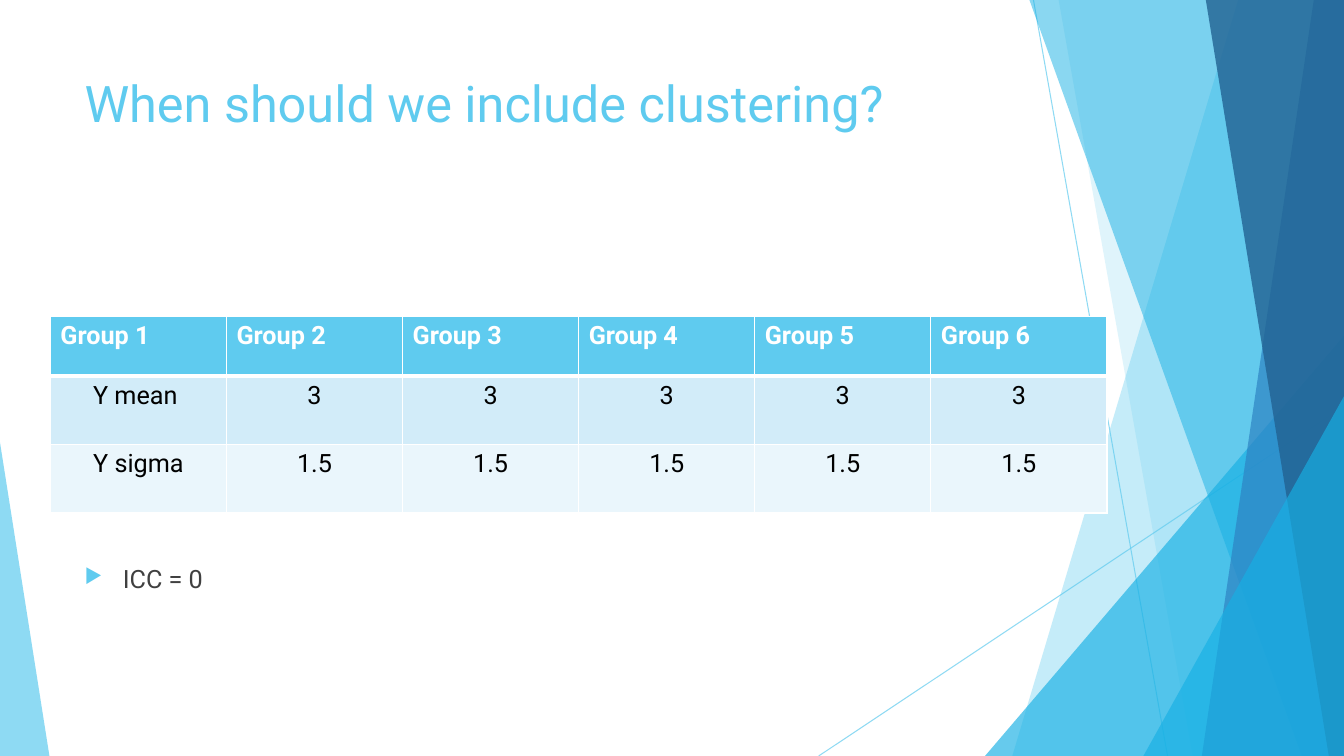
from lxml import etree
from pptx import Presentation
from pptx import util as u
from pptx.dml.color import RGBColor
from pptx.enum import shapes, text
from pptx.oxml.ns import qn

COLORS = {
    "sky": "5FCBEF", "cyan": "17B0E4", "blue": "2E83C3", "navy": "226292",
    "white": "FFFFFF", "black": "000000", "body": "404040",
    "band_dark": "D2ECF9", "band_light": "EAF6FC",
}
FONT = "Roboto"
SLIDE_W, SLIDE_H = 13.33, 7.5


def add_color(parent, color):
    """Append an sRGB colour element to an XML parent."""
    return etree.SubElement(parent, qn("a:srgbClr"), val=COLORS[color])


def set_alpha(fill_parent, opacity):
    """Make the solid fill below an XML element partly transparent."""
    color = fill_parent.find(qn("a:solidFill")).find(qn("a:srgbClr"))
    etree.SubElement(color, qn("a:alpha"), val=str(opacity * 1000))


def paint(facet, color, opacity):
    """Give a facet a flat translucent fill without outline or shadow."""
    facet.shadow.inherit = False
    facet.fill.solid()
    facet.fill.fore_color.rgb = RGBColor.from_string(COLORS[color])
    facet.line.fill.background()
    set_alpha(facet._element.spPr, opacity)


def style(paragraph, size, color, bold=False):
    """Format every run of a paragraph."""
    for run in paragraph.runs:
        run.font.name = FONT
        run.font.size = u.Pt(size)
        run.font.bold = bold
        run.font.color.rgb = RGBColor.from_string(COLORS[color])


def add_ray(slide, start, end):
    """Draw one thin translucent decorative line."""
    ray = slide.shapes.add_connector(
        shapes.MSO_CONNECTOR.STRAIGHT, *map(u.Inches, start + end))
    ray.line.width = u.Pt(0.75)
    ray.line.color.rgb = RGBColor.from_string(COLORS["sky"])
    set_alpha(ray.line._ln, 70)
    etree.SubElement(ray._element.spPr, qn("a:effectLst"))


def add_wedge(slide, box, top_x, bottom_x, color, opacity):
    """Fill the area between a slanted edge and the right side of the box."""
    left, top, width, height = box
    right, bottom = left + width, top + height
    corners = [(right, top), (right, bottom), (left + bottom_x, bottom)]
    outline = slide.shapes.build_freeform(u.Inches(left + top_x), u.Inches(top))
    outline.add_line_segments([tuple(map(u.Inches, c)) for c in corners])
    paint(outline.convert_to_shape(), color, opacity)


def add_corner(slide, box, apex, color, opacity):
    """Add a right triangle whose apex lies at one end of the top side."""
    corner = slide.shapes.add_shape(
        shapes.MSO_SHAPE.ISOSCELES_TRIANGLE, *map(u.Inches, box))
    corner.adjustments[0] = apex
    paint(corner, color, opacity)


def add_backdrop(slide, box):
    """Build the translucent facets along the left and right of the box."""
    left, top, width, height = box
    right, bottom = left + width, top + height

    def right_corner(w, h):
        add_corner(slide, (right - w, bottom - h, w, h), 1, "cyan", 66)

    add_ray(slide, (left + 10.25, top), (left + 11.58, bottom))
    add_ray(slide, (right, top + 4.03), (left + 8.12, bottom))
    add_wedge(slide, box, 12.28, 10.04, "sky", 36)
    add_wedge(slide, box, 10.5, 11.83, "sky", 20)
    right_corner(3.56, 4.17)
    add_wedge(slide, box, 10.21, 12.91, "cyan", 50)
    add_wedge(slide, box, 13.03, 11.92, "blue", 70)
    add_wedge(slide, box, 11.96, 13.18, "navy", 80)
    right_corner(1.99, 3.57)
    add_corner(slide, (left, bottom - 3.11, 0.49, 3.11), 0, "sky", 70)


def add_text(slide, box, words, size, color):
    """Place one wrapped paragraph at the top of the box and return it."""
    frame = slide.shapes.add_textbox(*map(u.Inches, box)).text_frame
    frame.word_wrap = True
    frame.vertical_anchor = text.MSO_ANCHOR.TOP
    frame.text = words
    style(frame.paragraphs[0], size, color)
    return frame.paragraphs[0]


def add_bullet(slide, box, words):
    """Place a body paragraph with an arrowhead bullet."""
    point = add_text(slide, box, words, 18, "body")
    point.space_before = u.Pt(10)
    props = point._p.get_or_add_pPr()
    indent = u.Inches(0.38)
    props.set("marL", str(indent))
    props.set("indent", str(-indent))
    add_color(etree.SubElement(props, qn("a:buClr")), "sky")
    etree.SubElement(props, qn("a:buSzPct"), val="80000")
    etree.SubElement(props, qn("a:buChar"), char="\u25b6")


def add_borders(cell, top, bottom):
    """Outline a cell in white, with the given top and bottom weights."""
    props = cell._tc.get_or_add_tcPr()
    for side, weight in (("L", 1), ("R", 1), ("T", top), ("B", bottom)):
        edge = etree.SubElement(props, qn("a:ln" + side), w=str(u.Pt(weight)))
        add_color(etree.SubElement(edge, qn("a:solidFill")), "white")


def add_group_table(slide, box, rows, heights):
    """Build the table of group means and sigmas."""
    table = slide.shapes.add_table(
        len(rows), len(rows[0]), *map(u.Inches, box)).table
    for column in table.columns:
        column.width = u.Inches(box[2] / len(rows[0]))
    fills = ["sky", "band_dark", "band_light"]
    for r, values in enumerate(rows):
        table.rows[r].height = u.Inches(heights[r])
        header = r == 0
        for c, value in enumerate(values):
            cell = table.cell(r, c)
            add_borders(cell, 3 if r == 1 else 1, 3 if header else 1)
            cell.fill.solid()
            cell.fill.fore_color.rgb = RGBColor.from_string(COLORS[fills[r]])
            cell.text_frame.text = value
            entry = cell.text_frame.paragraphs[0]
            entry.alignment = text.PP_ALIGN.LEFT if header else text.PP_ALIGN.CENTER
            style(entry, 18, "white" if header else "black", header)


def build_clustering_slide(deck):
    """Compose the slide on when to include clustering."""
    slide = deck.slides.add_slide(deck.slide_layouts[6])
    add_backdrop(slide, (0, 0, SLIDE_W, SLIDE_H))
    add_text(slide, (0.74, 0.67, 9.4, 1.44),
             "When should we include clustering?", 36, "sky")
    rows = [
        [f"Group {n}" for n in range(1, 7)],
        ["Y mean "] + ["3"] * 5,
        ["Y sigma"] + ["1.5"] * 5,
    ]
    add_group_table(slide, (0.5, 3.14, 10.48, 1.95), rows, (0.59, 0.68, 0.68))
    add_bullet(slide, (0.74, 5.54, 9.4, 1.3), "ICC = 0")


deck = Presentation()
deck.slide_width = u.Inches(SLIDE_W)
deck.slide_height = u.Inches(SLIDE_H)
build_clustering_slide(deck)
deck.save("out.pptx")
